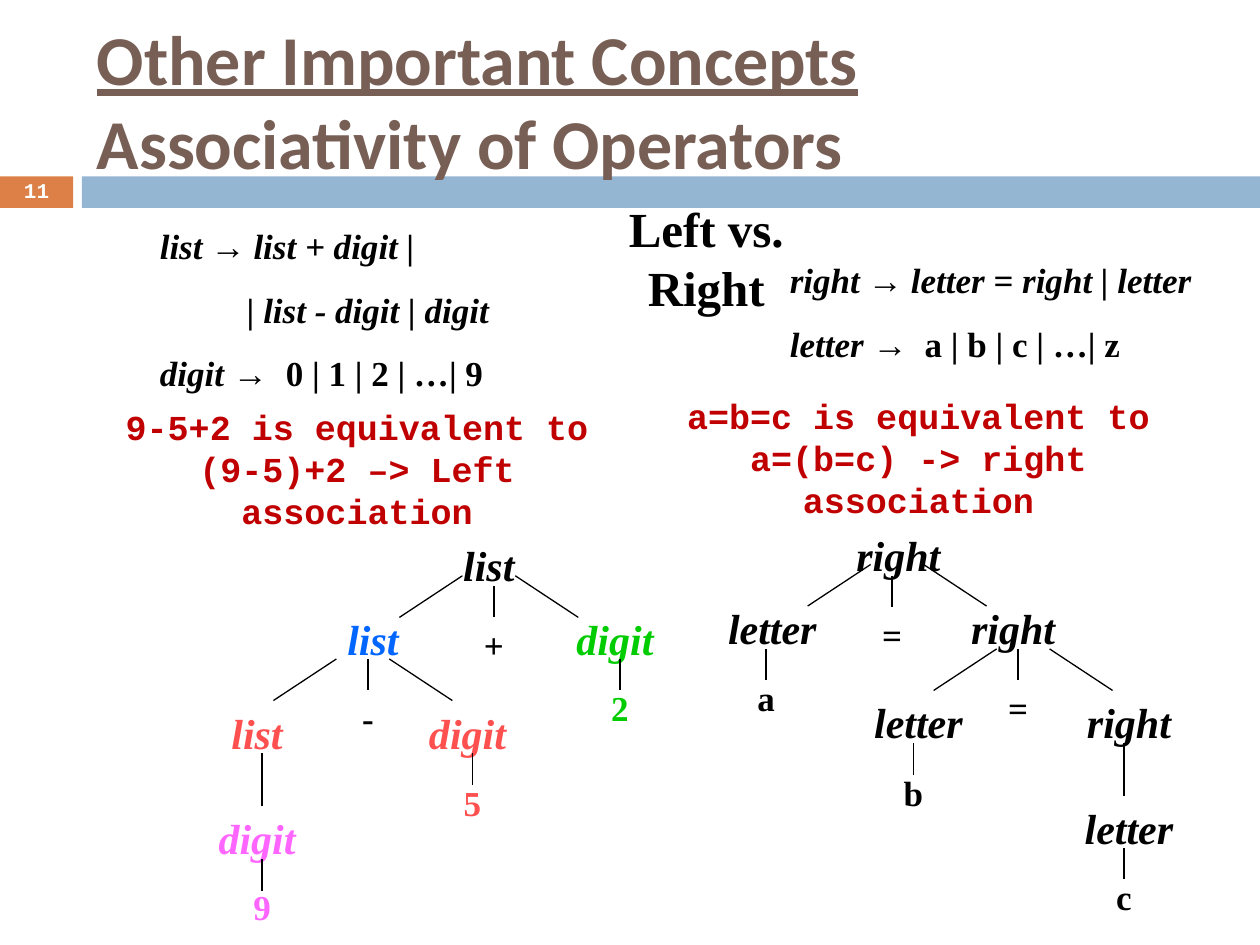
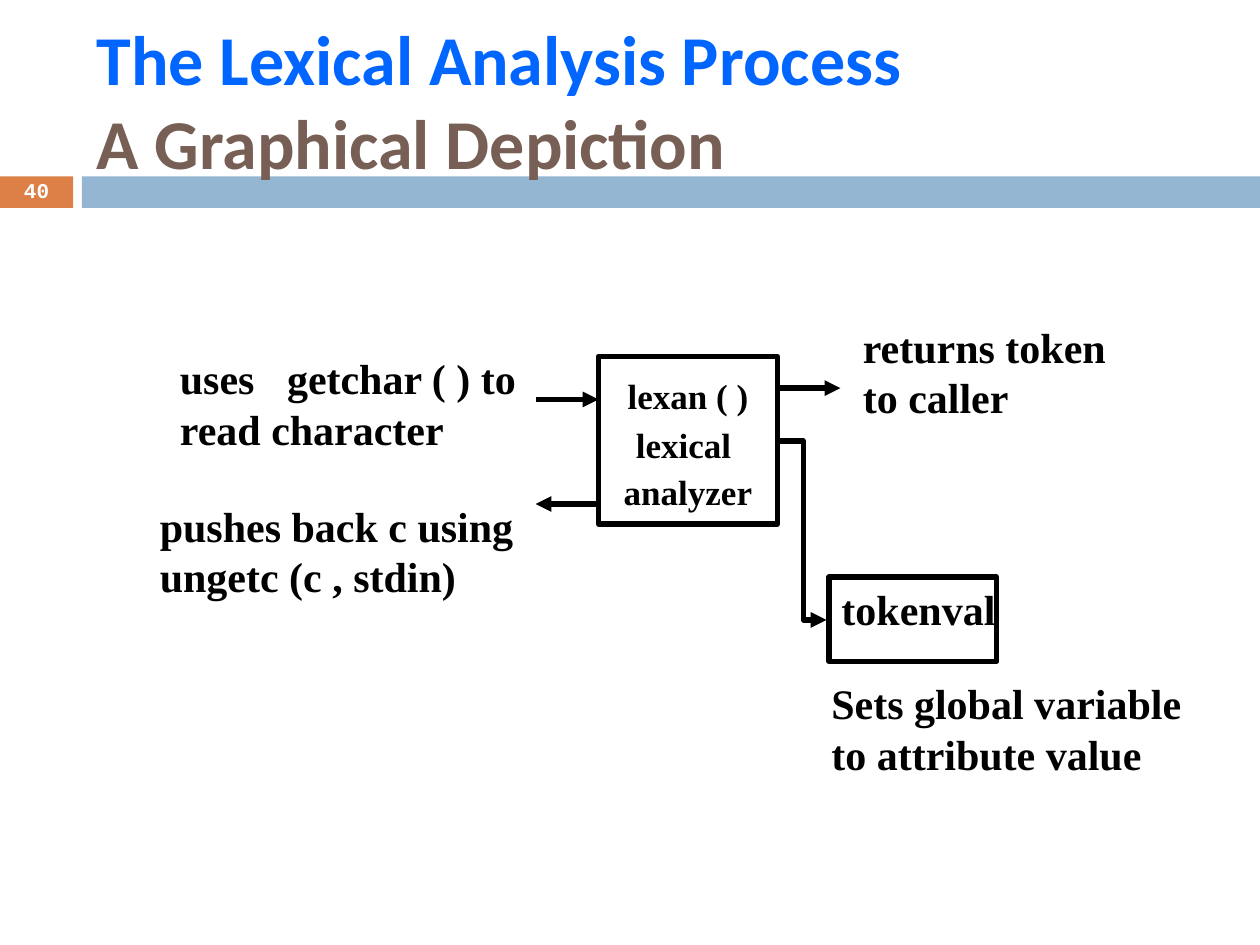
"""Build two compiler-course slides: operator associativity and lexical analysis."""
from dataclasses import dataclass

from lxml import etree
from pptx import Presentation
from pptx import util as u
from pptx.dml.color import RGBColor
from pptx.enum import shapes, text
from pptx.oxml import ns


@dataclass(frozen=True)
class Theme:
    orange: str = "DD8047"
    band: str = "94B6D2"
    brown: str = "775F55"
    blue: str = "0066FF"
    green: str = "00CC00"
    coral: str = "FF5050"
    pink: str = "FF66FF"
    red: str = "C00000"
    black: str = "000000"
    white: str = "FFFFFF"
    title_size: int = 40
    heading_size: int = 28
    label_size: int = 24
    body_size: int = 20
    gap_size: int = 18
    number_size: int = 12
    serif: str = "Times New Roman"
    sans: str = "Calibri"
    symbol: str = "Arial"
    mono: str = "Courier New"
    thin: float = 0.75
    thick: float = 3


theme = Theme()
CENTER = {"alignment": text.PP_ALIGN.CENTER}
LABEL = {"name": theme.serif, "size": theme.label_size, "bold": True, "color": theme.black}
BODY = {**LABEL, "size": theme.body_size}
NODE = {**LABEL, "italic": True}
TITLE = {**LABEL, "name": theme.sans, "size": theme.title_size, "color": theme.brown}
NUMBER = {**LABEL, "name": theme.mono, "size": theme.number_size, "color": theme.white}
NOTE = {**BODY, "name": theme.mono, "color": theme.red}
ITALIC = {"italic": True}
ARROW = ("→", {"name": theme.symbol})
GAP = (" ", {"size": theme.gap_size})


def add_text(slide, box, paragraphs, font, frame_format=None):
    """Add a text box; each paragraph is (runs, format) and each run is (text, font changes)."""
    frame = slide.shapes.add_textbox(*map(u.Inches, box)).text_frame
    for name, value in {"word_wrap": True, **(frame_format or {})}.items():
        setattr(frame, name, value)
    for index, (runs, paragraph_format) in enumerate(paragraphs):
        paragraph = frame.add_paragraph() if index else frame.paragraphs[0]
        if index:
            paragraph.space_before = u.Pt(12.5)
        for name, value in paragraph_format.items():
            if name == "tab":
                tabs = etree.SubElement(paragraph._p.get_or_add_pPr(), ns.qn("a:tabLst"))
                etree.SubElement(tabs, ns.qn("a:tab"), pos=str(u.Inches(value)), algn="l")
            elif name == "indent":
                paragraph._p.get_or_add_pPr().set("marL", str(u.Inches(value)))
            else:
                setattr(paragraph, name, value)
        for content, changes in runs:
            if content == "\n":
                paragraph.add_line_break()
                continue
            run = paragraph.add_run()
            run.text = content
            for name, value in {**font, **changes}.items():
                if name == "color":
                    run.font.color.rgb = RGBColor.from_string(value)
                else:
                    setattr(run.font, name, u.Pt(value) if name == "size" else value)


def add_line(slide, start, end, width, arrow=False, kind=shapes.MSO_CONNECTOR.STRAIGHT):
    """Add a black connector, with an arrowhead at its end when asked."""
    connector = slide.shapes.add_connector(kind, *map(u.Inches, (*start, *end)))
    connector.line.color.rgb = RGBColor.from_string(theme.black)
    connector.line.width = u.Pt(width)
    if arrow:
        etree.SubElement(connector.line._get_or_add_ln(), ns.qn("a:tailEnd"), type="triangle")
    etree.SubElement(connector._element.spPr, ns.qn("a:effectLst"))


presentation = Presentation()
presentation.slide_width, presentation.slide_height = u.Inches(10), u.Inches(7.5)
blank = presentation.slide_layouts[6]
associativity = presentation.slides.add_slide(blank)
lexical = presentation.slides.add_slide(blank)

blocks = []
for slide in (associativity, lexical):
    blocks += [(slide, (0, 1.4, 0.58, 0.25), theme.orange),
               (slide, (0.65, 1.4, 9.35, 0.25), theme.band)]
blocks += [(lexical, (4.75, 2.83, 1.42, 1.33), None),
           (lexical, (6.58, 4.58, 1.33, 0.67), None)]
for slide, box, fill in blocks:
    shape = slide.shapes.add_shape(shapes.MSO_SHAPE.RECTANGLE, *map(u.Inches, box))
    shape.shadow.inherit = False
    if fill:
        shape.fill.solid()
        shape.fill.fore_color.rgb = RGBColor.from_string(fill)
        shape.line.fill.background()
    else:
        shape.fill.background()
        shape.line.color.rgb = RGBColor.from_string(theme.black)
        shape.line.width = u.Pt(theme.thick)

middle = {"vertical_anchor": text.MSO_ANCHOR.MIDDLE}
headers = [
    (associativity, "11", ("Other Important Concepts", {"underline": True}),
     "Associativity of Operators"),
    (lexical, "40", ("The Lexical Analysis Process", {"color": theme.blue}),
     "A Graphical Depiction"),
]
for slide, number, topic, subtitle in headers:
    add_text(slide, (0.67, 0.25, 8.92, 1.08),
             [([topic, ("\n", {}), (subtitle, {})], {})], TITLE, middle)
    add_text(slide, (0, 1.39, 0.58, 0.27),
             [([(number, {})], {**CENTER, "line_spacing": 0.8})], NUMBER, middle)

add_text(associativity, (4.38, 1.53, 2.45, 0.57), [([("Left vs. Right", {})], CENTER)],
         {**LABEL, "size": theme.heading_size}, {"word_wrap": False})
add_text(associativity, (1.17, 1.73, 3.42, 1.45), [
    ([("list", ITALIC), GAP, ARROW, GAP, ("list + digit |", ITALIC)], {}),
    ([("| list - digit | digit", ITALIC)], {"indent": 0.69}),
    ([("digit ", ITALIC), ARROW, ("\t0 | 1 | 2 | …| 9", {})], {"tab": 1}),
], BODY)
add_text(associativity, (6.17, 2, 3.42, 0.94), [
    ([("right", ITALIC), GAP, ARROW, GAP, ("letter = right | letter", ITALIC)], {}),
    ([("letter ", ITALIC), ARROW, ("\ta | b | c | …| z", {})], {"tab": 1.07}),
], BODY)
for box, note in [
    ((0.75, 3.17, 4.17, 1.1), "9-5+2 is equivalent to (9-5)+2 –> Left association"),
    ((5.08, 3.08, 4.42, 1.1), "a=b=c is equivalent to a=(b=c) -> right association"),
]:
    add_text(associativity, box, [([(note, {})], CENTER)], NOTE)

symbols = [
    ("list", 3.42, 4.23, theme.black), ("list", 2.5, 4.82, theme.blue),
    ("digit", 4.42, 4.82, theme.green), ("list", 1.58, 5.57, theme.coral),
    ("digit", 3.25, 5.57, theme.coral), ("digit", 1.58, 6.4, theme.pink),
    ("right", 6.67, 4.15, theme.black), ("letter", 5.67, 4.73, theme.black),
    ("right", 7.58, 4.73, theme.black), ("letter", 6.83, 5.48, theme.black),
    ("right", 8.5, 5.48, theme.black), ("letter", 8.5, 6.32, theme.black),
]
tokens = [
    ("+", 3.67, 4.9, theme.black), ("-", 2.67, 5.48, theme.black),
    ("2", 4.67, 5.4, theme.green), ("5", 3.5, 6.15, theme.coral),
    ("9", 1.83, 6.98, theme.pink),
    ("=", 6.83, 4.82, theme.black), ("=", 7.83, 5.4, theme.black),
    ("a", 5.83, 5.32, theme.black), ("b", 7, 6.07, theme.black),
    ("c", 8.67, 6.9, theme.black),
]
for nodes, size, font in [(symbols, (0.92, 0.5), NODE), (tokens, (0.5, 0.44), BODY)]:
    for name, left, top, color in nodes:
        add_text(associativity, (left, top, *size), [([(name, {"color": color})], CENTER)], font)

stems = [(3.92, 4.65, 0.25), (2.92, 5.23, 0.25), (4.92, 5.23, 0.25), (3.75, 5.98, 0.25),
         (2.08, 5.98, 0.42), (2.08, 6.82, 0.25),
         (7.08, 4.57, 0.25), (8.08, 5.15, 0.25), (6.08, 5.15, 0.25), (7.25, 5.9, 0.25),
         (8.92, 5.9, 0.42), (8.92, 6.73, 0.25)]
for x, top, length in stems:
    add_line(associativity, (x, top), (x, top + length), theme.thin)
forks = [(3.92, 4.57, 0.25, 0.17), (2.92, 5.23, 0.25, 0.17),
         (7.08, 4.48, 0.17, 0.25), (8.08, 5.15, 0.17, 0.25)]
for x, top, left_gap, right_gap in forks:
    for near, reach in [(x - left_gap, -0.5), (x + right_gap, 0.5)]:
        add_line(associativity, (near, top), (near + reach, top + 0.33), theme.thin)

captions = [
    ((1.33, 2.75, 2.93, 0.9), "uses\tgetchar ( ) to read character", {"tab": 0.85}),
    ((1.17, 3.92, 3.03, 0.9), "pushes back c using ungetc (c , stdin)", {}),
    ((6.75, 2.5, 2.17, 0.9), "returns token to caller", {}),
    ((6.58, 4.58, 1.92, 0.5), "tokenval", {}),
    ((6.5, 5.33, 3.03, 0.9), "Sets global variable to attribute value", {}),
]
for box, caption, paragraph_format in captions:
    add_text(lexical, box, [([(caption, {})], paragraph_format)], LABEL)
tight = {**CENTER, "line_spacing": 0.6}
add_text(lexical, (4.75, 2.92, 1.42, 1.18), [
    ([("lexan ( )", {})], CENTER), ([("lexical ", {})], tight), ([("analyzer", {})], tight),
], BODY)

for start, end in [((4.25, 3.17), (4.75, 3.17)), ((4.75, 4), (4.25, 4)),
                   ((6.17, 3.08), (6.67, 3.08))]:
    add_line(lexical, start, end, theme.thick, arrow=True)
add_line(lexical, (6.19, 3.5), (6.56, 4.92), theme.thick, arrow=True,
         kind=shapes.MSO_CONNECTOR.ELBOW)

presentation.save("out.pptx")
